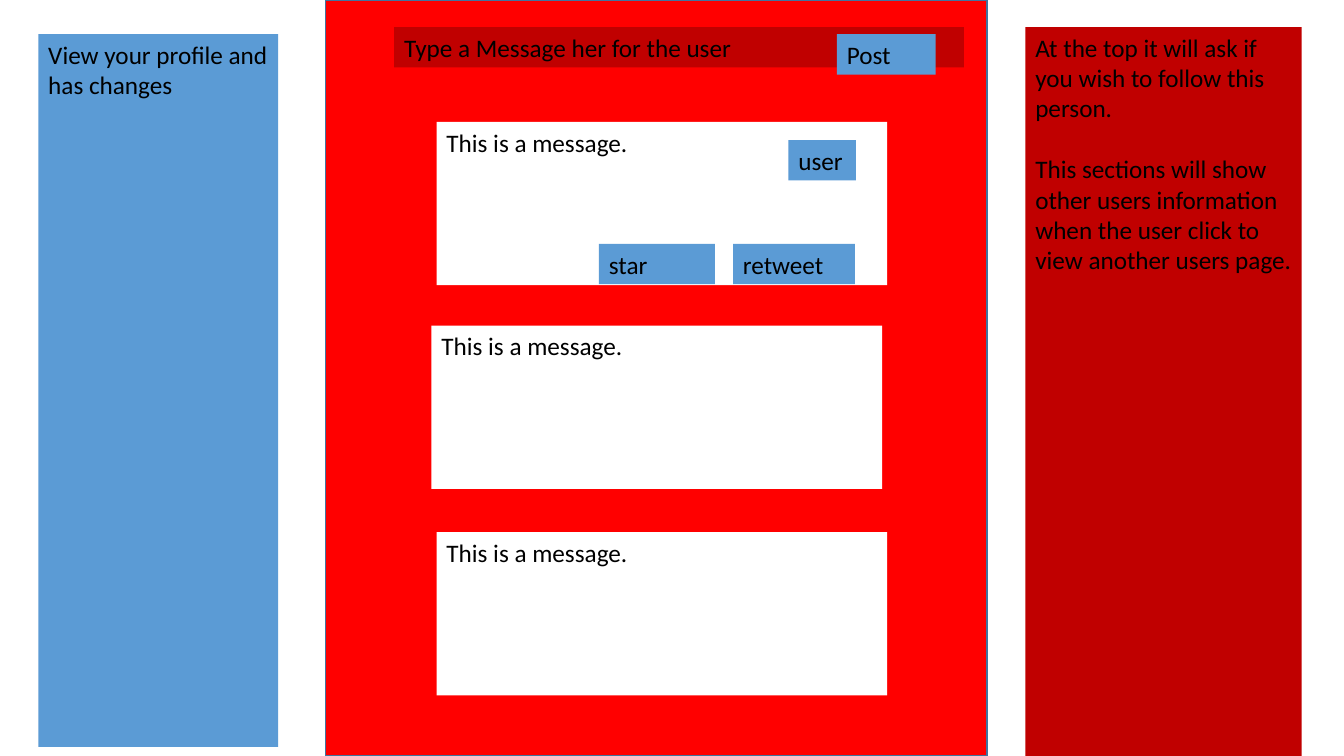
from pptx import Presentation
from pptx.dml.color import RGBColor
from pptx.enum.shapes import MSO_SHAPE
from pptx.enum.text import MSO_ANCHOR, PP_ALIGN
from pptx.util import Inches, Pt

RECTANGLE = MSO_SHAPE.RECTANGLE
TOP = MSO_ANCHOR.TOP
LEFT = PP_ALIGN.LEFT

COLORS = {
    "feed": "FF0000",
    "feed_edge": "43739E",
    "dark_red": "C00000",
    "blue": "5B9BD5",
    "message": "FFFFFF",
    "text": "000000",
}
FONT = "Calibri"
FONT_SIZE = 18
PARAGRAPH_GAP = 22
BAR_HEIGHT = 0.4
MESSAGE_SIZE = (4.47, 1.62)


def color(name):
    return RGBColor.from_string(COLORS[name])


def add_panel(slide, box, fill, edge=None):
    """Add a flat rectangle; box is left, top, width, height in inches."""
    panel = slide.shapes.add_shape(RECTANGLE, *map(Inches, box))
    panel.shadow.inherit = False
    panel.fill.solid()
    panel.fill.fore_color.rgb = color(fill)
    if edge:
        panel.line.color.rgb = color(edge)
        panel.line.width = Pt(1)
    else:
        panel.line.fill.background()
    return panel


def add_text_panel(slide, box, fill, *paragraphs):
    """Add a rectangle with text starting at its top left."""
    frame = add_panel(slide, box, fill).text_frame
    frame.word_wrap = True
    frame.vertical_anchor = TOP
    for index, wording in enumerate(paragraphs):
        paragraph = frame.add_paragraph() if index else frame.paragraphs[0]
        paragraph.alignment = LEFT
        if index:
            paragraph.space_before = Pt(PARAGRAPH_GAP)
        run = paragraph.add_run()
        run.text = wording
        run.font.name = FONT
        run.font.size = Pt(FONT_SIZE)
        run.font.color.rgb = color("text")


def add_button(slide, left, top, width, label):
    add_text_panel(slide, (left, top, width, BAR_HEIGHT), "blue", label)


def main():
    prs = Presentation()
    prs.slide_width = Inches(13.33)
    prs.slide_height = Inches(7.5)
    blank_layout = prs.slide_layouts[6]
    slide = prs.slides.add_slide(blank_layout)

    # Central feed
    add_panel(slide, (3.23, 0, 6.56, 7.5), "feed", "feed_edge")

    # Messages
    for left, top in ((4.33, 1.21), (4.28, 3.23), (4.33, 5.28)):
        add_text_panel(slide, (left, top, *MESSAGE_SIZE), "message",
                       "This is a message.")

    # Controls of the first message
    add_button(slide, 7.27, 2.42, 1.21, "retweet")
    add_button(slide, 5.94, 2.42, 1.15, "star")
    add_button(slide, 7.82, 1.39, 0.67, "user")

    # Message entry
    add_text_panel(slide, (3.91, 0.27, 5.65, BAR_HEIGHT), "dark_red",
                   "Type a Message her for the user")
    add_button(slide, 8.3, 0.34, 0.98, "Post")

    # Side panels
    add_text_panel(
        slide, (10.17, 0.27, 2.74, 7.67), "dark_red",
        "At the top it will ask if you wish to follow this person.",
        "This sections will show other users information when the user "
        "click to view another users page.")
    add_text_panel(slide, (0.38, 0.34, 2.38, 7.07), "blue",
                   "View your profile and has changes")

    prs.save("out.pptx")


main()
